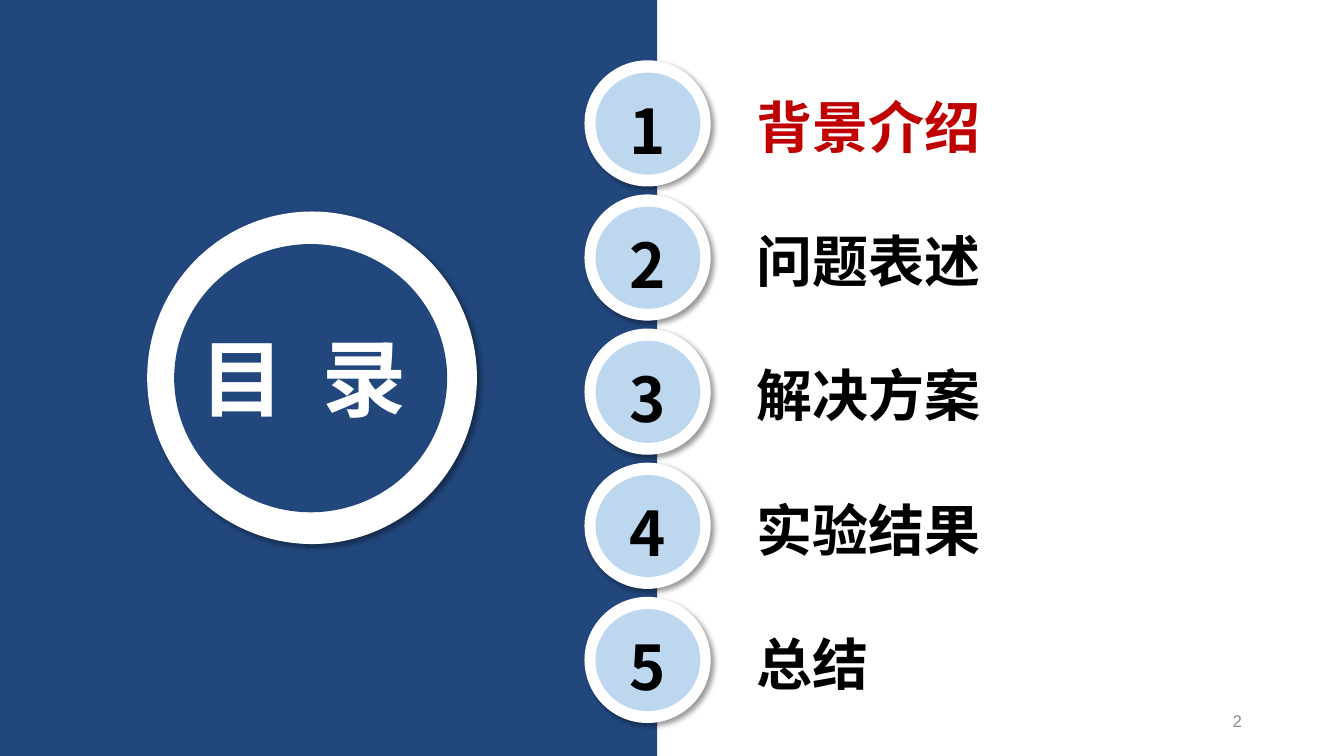
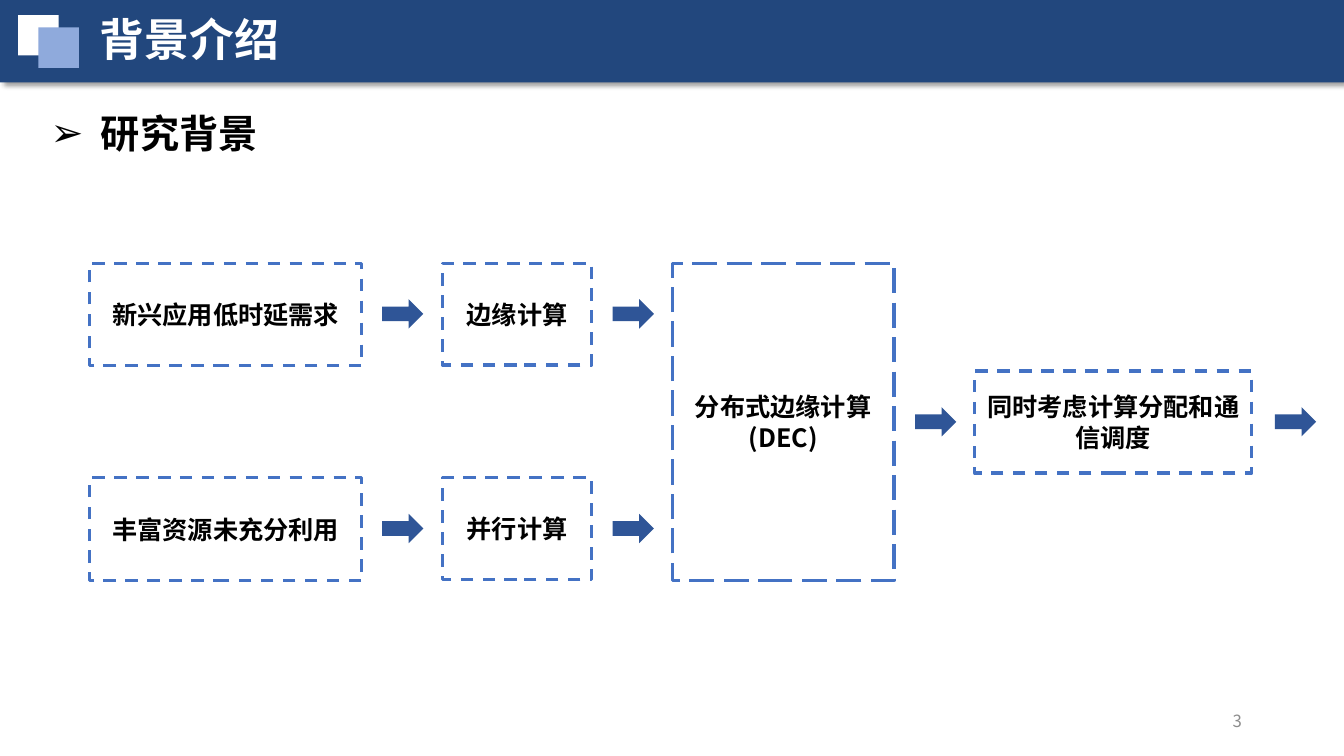
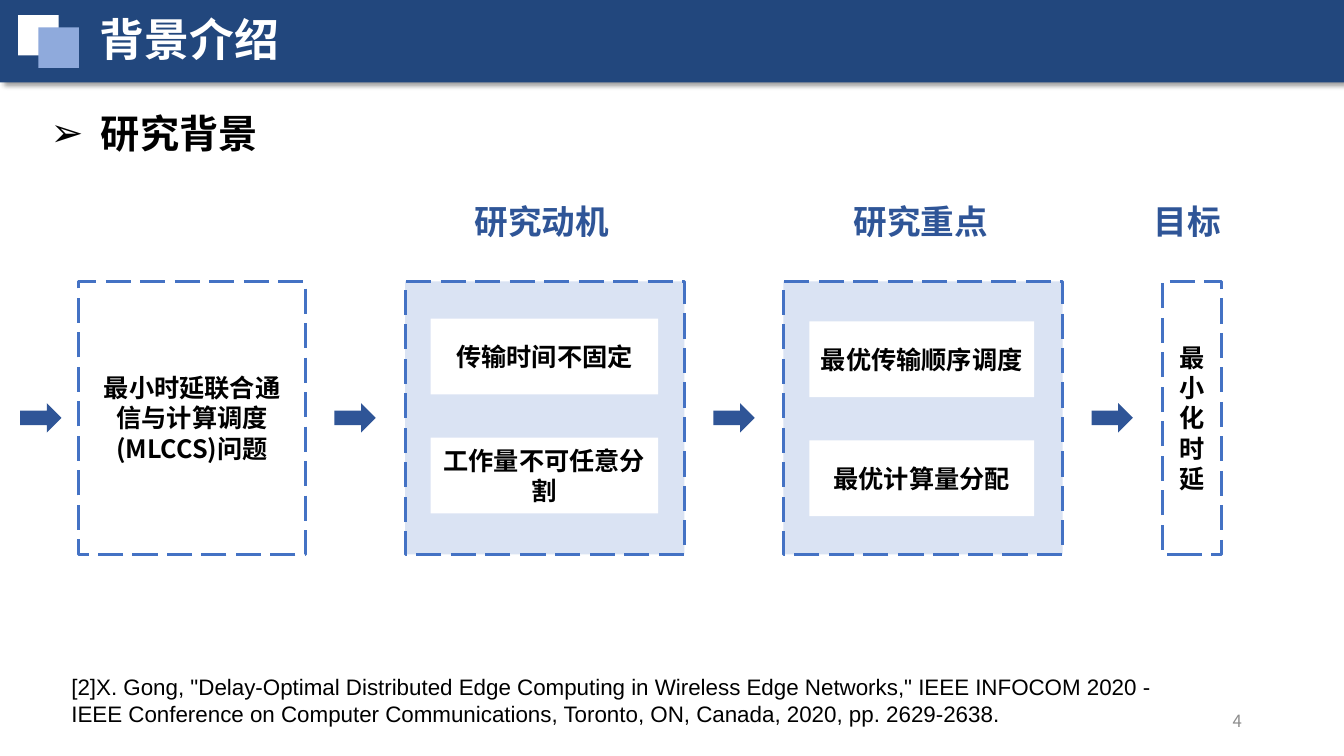
from lxml import etree
from pptx import Presentation
from pptx import util as u
from pptx.dml.color import RGBColor
from pptx.enum import dml, shapes, text
from pptx.oxml.ns import qn

NAVY = RGBColor(0x22, 0x47, 0x7D)
WHITE = RGBColor(0xFF, 0xFF, 0xFF)
BLACK = RGBColor(0, 0, 0)
RED = RGBColor(0xC0, 0, 0)
GRAY = RGBColor(0x8C, 0x8C, 0x8C)
SKY = RGBColor(0xBD, 0xD7, 0xEE)
PERIWINKLE = RGBColor(0x8F, 0xAA, 0xDC)
OUTLINE = RGBColor(0x44, 0x72, 0xC4)
ACCENT = RGBColor(0x2F, 0x55, 0x97)
PALE = RGBColor(0xDA, 0xE3, 0xF3)

CJK = "Noto Sans CJK SC"
LATIN = "Arial"
WIDTH, HEIGHT = 33.87, 19.05
RECT = shapes.MSO_SHAPE.RECTANGLE
OVAL = shapes.MSO_SHAPE.OVAL
ARROW = shapes.MSO_SHAPE.RIGHT_ARROW
DASH = dml.MSO_LINE.DASH
LONG_DASH = dml.MSO_LINE.LONG_DASH
LEFT, CENTER, RIGHT = text.PP_ALIGN.LEFT, text.PP_ALIGN.CENTER, text.PP_ALIGN.RIGHT
TOP, MIDDLE = text.MSO_ANCHOR.TOP, text.MSO_ANCHOR.MIDDLE


class Deck:
    def __init__(self):
        self.prs = Presentation()
        self.prs.slide_width = u.Cm(WIDTH)
        self.prs.slide_height = u.Cm(HEIGHT)
        self.s = None

    def new_slide(self, number, font=CJK):
        self.s = self.prs.slides.add_slide(self.prs.slide_layouts[1])
        self.textbox(str(number), 23.93, 17.65, 7.62, 1.02, 12, GRAY,
                     bold=False, font=font, align=RIGHT, anchor=MIDDLE)

    def add_text(self, p, words, size, color, bold=True, font=CJK):
        r = p.add_run()
        r.text = words
        r.font.size = u.Pt(size)
        r.font.bold = bold
        r.font.color.rgb = color
        r.font.name = font
        etree.SubElement(r.font._element, qn("a:ea"), typeface=font)
        return r

    def frame(self, sp, anchor):
        tf = sp.text_frame
        tf.word_wrap = True
        tf.auto_size = text.MSO_AUTO_SIZE.NONE
        tf.vertical_anchor = anchor
        return tf

    def fill_text(self, sp, lines, size, color, bold=True, font=CJK, align=LEFT, anchor=TOP):
        tf = self.frame(sp, anchor)
        for i, line in enumerate(lines.split("\n")):
            p = tf.add_paragraph() if i else tf.paragraphs[0]
            p.alignment = align
            self.add_text(p, line, size, color, bold, font)

    def textbox(self, words, x, y, w, h, size, color, **style):
        sp = self.s.shapes.add_textbox(u.Cm(x), u.Cm(y), u.Cm(w), u.Cm(h))
        self.fill_text(sp, words, size, color, **style)

    def shape(self, kind, x, y, w, h, fill=None, dash=None, shadow=False, words=""):
        sp = self.s.shapes.add_shape(kind, u.Cm(x), u.Cm(y), u.Cm(w), u.Cm(h))
        if fill is None:
            sp.fill.background()
        else:
            sp.fill.solid()
            sp.fill.fore_color.rgb = fill
        if dash is None:
            sp.line.fill.background()
        else:
            sp.line.color.rgb = OUTLINE
            sp.line.width = u.Pt(2.25)
            sp.line.dash_style = dash
        sp.shadow.inherit = False
        if shadow:
            effects = sp.element.spPr.find(qn("a:effectLst"))
            outer = etree.SubElement(effects, qn("a:outerShdw"), blurRad="50800",
                                     dist="38100", dir="2700000", algn="tl", rotWithShape="0")
            tint = etree.SubElement(outer, qn("a:srgbClr"), val=str(BLACK))
            etree.SubElement(tint, qn("a:alpha"), val="40000")
        if words:
            self.fill_text(sp, words, 18, BLACK, align=CENTER, anchor=MIDDLE)

    def arrow(self, x, y):
        self.shape(ARROW, x, y, 1.04, 0.74, ACCENT)

    def placeholder(self, index, x, y, w, h):
        sp = self.s.placeholders[index]
        sp.left, sp.top, sp.width, sp.height = u.Cm(x), u.Cm(y), u.Cm(w), u.Cm(h)
        self.s.shapes.element.append(sp.element)
        tf = self.frame(sp, TOP)
        tf.paragraphs[0].alignment = LEFT
        return tf

    def list_item(self, p, words, size, color, spacing, bullet=None):
        pPr = p._p.get_or_add_pPr()
        indent = u.Cm(1.27) if bullet else 0
        pPr.set("marL", str(indent))
        pPr.set("indent", str(-indent))
        if bullet:
            etree.SubElement(pPr, qn("a:buFont"), typeface=LATIN)
            etree.SubElement(pPr, qn("a:buChar"), char=bullet)
        else:
            etree.SubElement(pPr, qn("a:buNone"))
        p.alignment = LEFT
        p.line_spacing = spacing
        p.space_before = u.Pt(0)
        self.add_text(p, words, size, color)

    def content_slide(self, number, title, topic):
        self.new_slide(number)
        self.shape(RECT, 0, 0, WIDTH, 2.08, NAVY, shadow=True)
        self.shape(RECT, 0.46, 0.38, 1.02, 1.02, WHITE)
        self.shape(RECT, 0.97, 0.69, 1.02, 1.02, PERIWINKLE)
        tf = self.placeholder(0, 2.26, 0.18, 19.79, 1.63)
        self.add_text(tf.paragraphs[0], title, 32, WHITE)
        tf = self.placeholder(1, 1.02, 2.03, 30.84, 1.83)
        self.list_item(tf.paragraphs[0], topic, 28, BLACK, 1.5, "➢")


def agenda(deck):
    deck.new_slide(2, LATIN)
    deck.shape(RECT, 0, 0, 16.56, HEIGHT, NAVY)
    deck.shape(OVAL, 3.71, 5.33, 8.31, 8.38, WHITE, shadow=True)
    deck.shape(OVAL, 4.39, 6.15, 6.88, 6.76, NAVY)
    p = deck.placeholder(0, 4.8, 8.1, 6.5, 2.82).paragraphs[0]
    deck.add_text(p, "目", 60, WHITE)
    gap = deck.add_text(p, " ", 60, WHITE)
    gap.font._element.set("spc", "1340")
    deck.add_text(p, "录", 60, WHITE)

    pitch = 3.38
    tf = deck.placeholder(1, 18.82, 0.52, 12, 5 * pitch)
    for i, chapter in enumerate(["背景介绍", "问题表述", "解决方案", "实验结果", "总结"]):
        y = i * pitch
        deck.shape(OVAL, 14.73, 1.52 + y, 3.18, 3.18, WHITE, shadow=True)
        deck.shape(OVAL, 15.01, 1.83 + y, 2.64, 2.57, SKY)
        deck.textbox(str(i + 1), 15.01, 2.21 + y, 2.64, 2.3, 44, BLACK, align=CENTER)
        p = tf.add_paragraph() if i else tf.paragraphs[0]
        deck.list_item(p, chapter, 40, BLACK if i else RED, u.Cm(pitch))


def background(deck):
    deck.content_slide(3, "背景介绍", "研究背景")
    for y, need, method in [(6.63, "新兴应用低时延需求", "边缘计算"),
                            (12.04, "丰富资源未充分利用", "并行计算")]:
        deck.shape(RECT, 2.26, y, 6.86, 2.59, dash=DASH, words=need)
        deck.shape(RECT, 11.15, y, 3.76, 2.57, dash=DASH, words=method)
        for x in (9.63, 15.44):
            deck.arrow(x, y + 0.91)
    deck.shape(RECT, 16.94, 6.63, 5.59, 8, dash=LONG_DASH, words="分布式边缘计算\n(DEC)")
    deck.shape(RECT, 24.56, 9.35, 6.99, 2.57, dash=DASH, words="同时考虑计算分配和通信调度")
    for x in (23.06, 32.13):
        deck.arrow(x, 10.26)


def motivation(deck):
    deck.content_slide(4, "背景介绍", "研究背景")
    y, h = 7.09, 6.88
    deck.shape(RECT, 1.98, y, 5.72, h, dash=LONG_DASH,
               words="最小时延联合通 信与计算调度 (MLCCS)问题")
    panels = [(10.21, 10.85, 5.74, 8.03, ["传输时间不固定", "工作量不可任意分割"]),
              (19.74, 20.4, 5.66, 8.1, ["最优传输顺序调度", "最优计算量分配"])]
    for x, card_x, card_w, card_y, cards in panels:
        deck.shape(RECT, x, y, 7.04, h, PALE, LONG_DASH)
        for i, card in enumerate(cards):
            deck.shape(RECT, card_x, card_y + 3 * i, card_w, 1.91, WHITE, words=card)
    deck.shape(RECT, 29.29, y, 1.5, h, dash=LONG_DASH, words="最小化时延")
    for x in (0.51, 8.43, 17.98, 27.51):
        deck.arrow(x, 10.16)
    for x, w, heading in [(11.71, 4.01, "研究动机"), (21.26, 4.01, "研究重点"),
                          (28.83, 2.39, "目标")]:
        deck.textbox(heading, x, 4.94, w, 1.27, 24, ACCENT)
    deck.textbox('[2]X. Gong, "Delay-Optimal Distributed Edge Computing in Wireless Edge '
                 'Networks," IEEE INFOCOM 2020 - IEEE Conference on Computer Communications, '
                 'Toronto, ON, Canada, 2020, pp. 2629-2638.',
                 1.55, 16.84, 28.14, 1.63, 16, BLACK, bold=False, font=LATIN)


def main():
    deck = Deck()
    agenda(deck)
    background(deck)
    motivation(deck)
    deck.prs.save("out.pptx")


if __name__ == "__main__":
    main()
